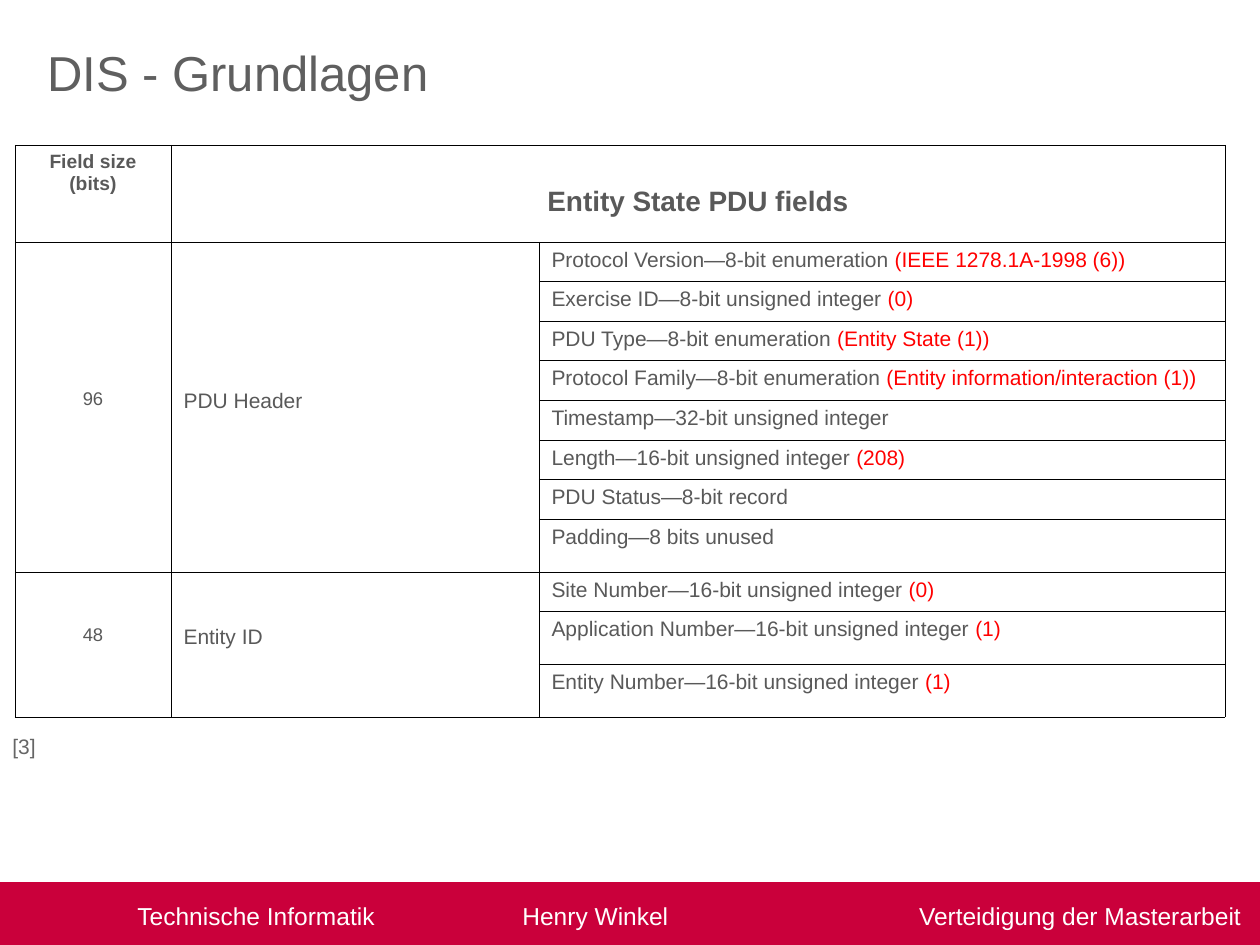
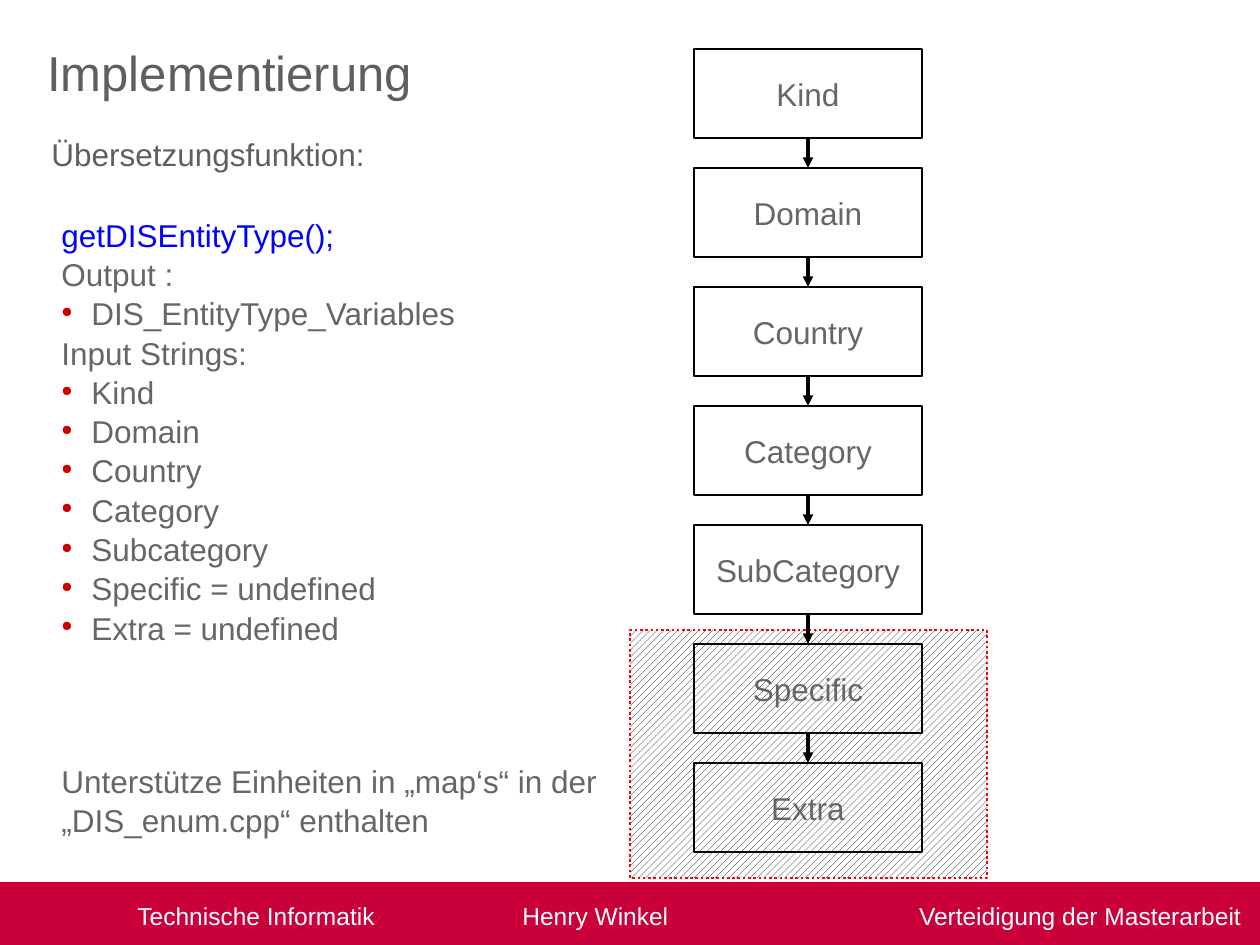
from lxml.etree import SubElement
from pptx import Presentation
from pptx.dml.color import RGBColor
from pptx.enum.dml import MSO_LINE, MSO_PATTERN
from pptx.enum.shapes import MSO_CONNECTOR, MSO_SHAPE
from pptx.enum.text import MSO_ANCHOR, PP_ALIGN
from pptx.oxml.ns import qn
from pptx.util import Pt

FONT = "Arial"
BLACK, WHITE, RED = "000000", "FFFFFF", "FF0000"
BAND, BULLET, CODE = "CA003B", "CC0000", "0000FF"
HEADING, BODY, CELL = "5F5F5F", "666666", "595959"


def px(value):
    return round(value * 914400 / 126)


def rgb(value):
    return RGBColor.from_string(value)


def add_text(paragraph, text, size=18, color=BODY, bold=False, align=PP_ALIGN.LEFT):
    paragraph.alignment = align
    run = paragraph.add_run()
    run.text = text
    run.font.name = FONT
    run.font.size = Pt(size)
    run.font.bold = bold
    run.font.color.rgb = rgb(color)


def add_tabs(paragraph, stops):
    tab_list = SubElement(paragraph._p.get_or_add_pPr(), qn("a:tabLst"))
    for position, align in stops:
        SubElement(tab_list, qn("a:tab"), pos=str(px(position)), algn=align)


def add_bullet(paragraph, indent=30):
    properties = paragraph._p.get_or_add_pPr()
    properties.set("marL", str(px(indent)))
    properties.set("indent", str(-px(indent)))
    color = SubElement(properties, qn("a:buClr"))
    SubElement(color, qn("a:srgbClr"), val=BULLET)
    SubElement(properties, qn("a:buSzPct"), val="45000")
    SubElement(properties, qn("a:buChar"), char="●")


def add_borders(cell):
    properties = cell._tc.get_or_add_tcPr()
    for index, side in enumerate(("lnL", "lnR", "lnT", "lnB")):
        line = properties.makeelement(qn(f"a:{side}"), {"w": str(Pt(0.06))})
        properties.insert(index, line)
        fill = SubElement(line, qn("a:solidFill"))
        SubElement(fill, qn("a:srgbClr"), val=BLACK)


class Deck:
    def __init__(self):
        self.presentation = Presentation()
        self.presentation.slide_width = px(1260)
        self.presentation.slide_height = px(945)
        self.slide = None

    def add_slide(self, title):
        self.slide = self.presentation.slides.add_slide(self.presentation.slide_layouts[6])
        self.footer()
        self.text_box(35, 36, 992, 100, title, size=28, color=HEADING)

    def rectangle(self, left, top, width, height, line=None, line_width=0):
        shape = self.slide.shapes.add_shape(
            MSO_SHAPE.RECTANGLE, px(left), px(top), px(width), px(height))
        shape.shadow.inherit = False
        shape.fill.background()
        if line:
            shape.line.color.rgb = rgb(line)
            shape.line.width = Pt(line_width)
        else:
            shape.line.fill.background()
        shape.text_frame.vertical_anchor = MSO_ANCHOR.MIDDLE
        return shape

    def footer(self):
        band = self.rectangle(0, 882, 1260, 68)
        band.fill.solid()
        band.fill.fore_color.rgb = rgb(BAND)
        paragraph = band.text_frame.paragraphs[0]
        add_tabs(paragraph, [(125, "l"), (510, "l"), (1229, "r")])
        add_text(paragraph, "\tTechnische Informatik\tHenry Winkel\tVerteidigung der Masterarbeit",
                 size=14, color=WHITE)

    def text_box(self, left, top, width, height, text=None, **style):
        box = self.slide.shapes.add_textbox(px(left), px(top), px(width), px(height))
        frame = box.text_frame
        frame.word_wrap = True
        if text:
            add_text(frame.paragraphs[0], text, **style)
        return frame

    def step(self, left, top, width, height, text):
        shape = self.rectangle(left, top, width, height, line=BLACK)
        shape.text_frame.word_wrap = False
        add_text(shape.text_frame.paragraphs[0], text, align=PP_ALIGN.CENTER)
        return shape

    def arrow(self, source, target):
        connector = self.slide.shapes.add_connector(MSO_CONNECTOR.STRAIGHT, 0, 0, 0, 0)
        connector.begin_connect(source, 2)
        connector.end_connect(target, 0)
        connector.line.color.rgb = rgb(BLACK)
        connector.line.width = Pt(0)
        SubElement(connector.line._get_or_add_ln(), qn("a:tailEnd"), type="triangle")
        SubElement(connector._element.spPr, qn("a:effectLst"))

    def hatched_area(self, left, top, width, height):
        area = self.rectangle(left, top, width, height, line=RED, line_width=1.5)
        area.line.dash_style = MSO_LINE.ROUND_DOT
        area.fill.patterned()
        area.fill.pattern = MSO_PATTERN.WIDE_UPWARD_DIAGONAL
        area.fill.fore_color.rgb = rgb(BLACK)
        area.fill.back_color.rgb = rgb(WHITE)

    def table(self, left, top, columns, rows):
        table = self.slide.shapes.add_table(
            len(rows), len(columns), px(left), px(top), px(sum(columns)), px(sum(rows))).table
        table.first_row = table.horz_banding = False
        for column, width in zip(table.columns, columns):
            column.width = px(width)
        for row, height in zip(table.rows, rows):
            row.height = px(height)
        for cell in table.iter_cells():
            cell.fill.solid()
            cell.fill.fore_color.rgb = rgb(WHITE)
            add_borders(cell)
        return table

    def middle_cell(self, cell, text, lift, **style):
        cell.vertical_anchor = MSO_ANCHOR.MIDDLE
        cell.margin_top = px(6 + max(0, -2 * lift))
        cell.margin_bottom = px(6 + max(0, 2 * lift))
        add_text(cell.text_frame.paragraphs[0], text, color=CELL, **style)


def build_fields_slide(deck):
    groups = [
        ("96", "PDU Header", 8, 6, [
            ("Protocol Version—8-bit enumeration ", "(IEEE 1278.1A-1998 (6))"),
            ("Exercise ID—8-bit unsigned integer ", "(0)"),
            ("PDU Type—8-bit enumeration ", "(Entity State (1))"),
            ("Protocol Family—8-bit enumeration ", "(Entity information/interaction (1))"),
            ("Timestamp—32-bit unsigned integer", ""),
            ("Length—16-bit unsigned integer ", "(208)"),
            ("PDU Status—8-bit record", ""),
            ("Padding—8 bits unused", ""),
        ]),
        ("48", "Entity ID", 9, 7, [
            ("Site Number—16-bit unsigned integer ", "(0)"),
            ("Application Number—16-bit unsigned integer ", "(1)"),
            ("Entity Number—16-bit unsigned integer ", "(1)"),
        ]),
    ]
    deck.add_slide("DIS - Grundlagen")
    deck.text_box(0, 727, 60, 38, "[3]", size=12)
    table = deck.table(15, 145, [156, 368, 686],
                       [97, 39, 40, 39, 40, 40, 39, 40, 53, 39, 53, 53])
    add_text(table.cell(0, 0).text_frame.paragraphs[0], "Field size (bits)",
             size=11, color=CELL, bold=True, align=PP_ALIGN.CENTER)
    table.cell(0, 1).merge(table.cell(0, 2))
    deck.middle_cell(table.cell(0, 1), "Entity State PDU fields", -8,
                     size=16, bold=True, align=PP_ALIGN.CENTER)
    first = 1
    for bits, name, bits_lift, name_lift, fields in groups:
        last = first + len(fields) - 1
        for column in (0, 1):
            table.cell(first, column).merge(table.cell(last, column))
        deck.middle_cell(table.cell(first, 0), bits, bits_lift,
                         size=10.5, align=PP_ALIGN.CENTER)
        deck.middle_cell(table.cell(first, 1), name, name_lift, size=12)
        for row, (field, value) in enumerate(fields, first):
            paragraph = table.cell(row, 2).text_frame.paragraphs[0]
            add_text(paragraph, field, size=12, color=CELL)
            if value:
                add_text(paragraph, value, size=12, color=RED)
        first = last + 1


def build_translation_slide(deck):
    inputs = ["Kind", "Domain", "Country", "Category", "Subcategory",
              "Specific = undefined", "Extra = undefined"]
    steps = ["Kind", "Domain", "Country", "Category", "SubCategory", "Specific", "Extra"]
    lines = [("getDISEntityType();", False), ("Output :", False),
             ("DIS_EntityType_Variables", True), ("Input Strings:", False),
             *[(name, True) for name in inputs],
             ("Unterstütze Einheiten in „map‘s“ in der „DIS_enum.cpp“ enthalten", False)]
    deck.add_slide("Implementierung")
    deck.text_box(39, 129, 446, 53, "Übersetzungsfunktion:", color=HEADING)
    frame = deck.text_box(49, 208, 605, 436)
    for index, (text, bulleted) in enumerate(lines):
        paragraph = frame.add_paragraph() if index else frame.paragraphs[0]
        paragraph.line_spacing = 1.04
        if bulleted:
            add_bullet(paragraph)
        add_text(paragraph, text, color=BODY if index else CODE)
    paragraph.space_before = Pt(65)

    deck.hatched_area(630, 630, 357, 248)
    boxes = [deck.step(694, 49 + 119 * index, 228, 89, name)
             for index, name in enumerate(steps)]
    for source, target in zip(boxes, boxes[1:]):
        deck.arrow(source, target)


def main():
    deck = Deck()
    build_fields_slide(deck)
    build_translation_slide(deck)
    deck.presentation.save("out.pptx")


if __name__ == "__main__":
    main()
